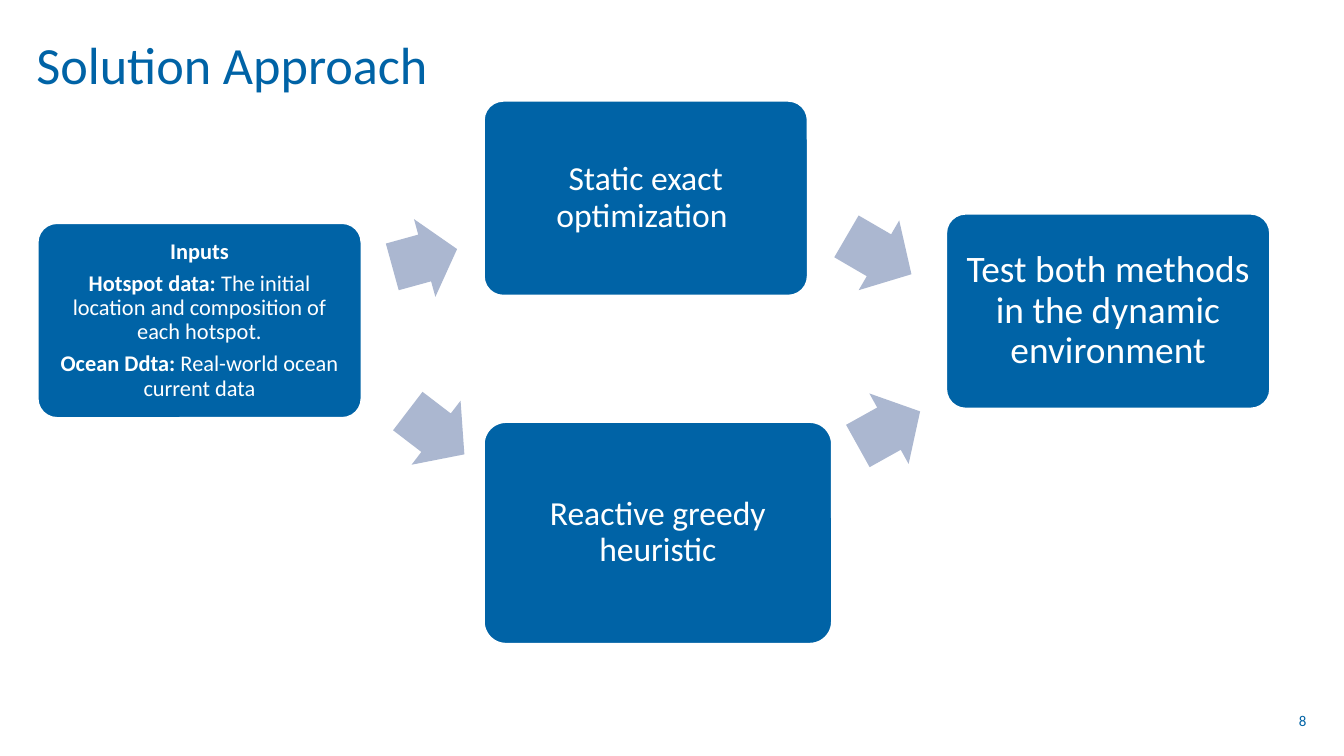
from pptx import Presentation
from pptx.dml.color import RGBColor
from pptx.enum.shapes import MSO_SHAPE
from pptx.enum.text import MSO_ANCHOR, PP_ALIGN
from pptx.util import Inches, Pt

BLUE = RGBColor(0x00, 0x63, 0xA6)
PALE_BLUE = RGBColor(0xAB, 0xB7, 0xD0)
WHITE = RGBColor(0xFF, 0xFF, 0xFF)
FONT = "Calibri"

ROUNDED = MSO_SHAPE.ROUNDED_RECTANGLE
ARROW = MSO_SHAPE.RIGHT_ARROW
TOP, MIDDLE = MSO_ANCHOR.TOP, MSO_ANCHOR.MIDDLE
LEFT, CENTER, RIGHT = PP_ALIGN.LEFT, PP_ALIGN.CENTER, PP_ALIGN.RIGHT

SLIDE_WIDTH = Inches(10)
SLIDE_HEIGHT = SLIDE_WIDTH * 9 // 16
BOX_SIZE = (2.41, 1.45)

# Box (left, top, width, height), text size, inset, paragraphs of (text, bold) runs
STEPS = [
    ((0.28, 1.66, *BOX_SIZE), 12, 0.05, [
        [("Inputs", True)],
        [("Hotspot data:", True),
         (" The initial location and composition of each hotspot.", False)],
        [("Ocean Ddta:", True), (" Real-world ocean current data", False)],
    ]),
    ((3.6, 0.75, *BOX_SIZE), 18, 0.07, [[("Static exact optimization ", False)]]),
    ((7.04, 1.59, *BOX_SIZE), 20, 0.08,
     [[("Test both methods in the dynamic environment", False)]]),
    ((3.6, 3.14, 2.59, 1.65), 18, 0.12, [[("Reactive greedy heuristic", False)]]),
]

# Box (left, top, width, height), rotation in degrees
ARROWS = [
    ((2.91, 1.62, 0.5, 0.6), 344.6),
    ((6.26, 1.6, 0.56, 0.6), 30.2),
    ((2.98, 2.92, 0.53, 0.6), 37.4),
    ((6.35, 2.89, 0.53, 0.6), 330.9),
]


def set_attributes(target, values):
    for name, value in values.items():
        setattr(target, name, value)


def write_text(shape, paragraphs, size, color, anchor, insets, paragraph_format):
    """Fill a shape with paragraphs of (text, bold) runs; insets run left, top, right, bottom."""
    left, top, right, bottom = map(Inches, insets)
    frame = shape.text_frame
    set_attributes(frame, {
        "word_wrap": True, "vertical_anchor": anchor,
        "margin_left": left, "margin_top": top,
        "margin_right": right, "margin_bottom": bottom,
    })
    for index, runs in enumerate(paragraphs):
        paragraph = frame.add_paragraph() if index else frame.paragraphs[0]
        set_attributes(paragraph, paragraph_format)
        for text, bold in runs:
            run = paragraph.add_run()
            run.text = text
            set_attributes(run.font, {"name": FONT, "size": Pt(size), "bold": bold})
            run.font.color.rgb = color


def add_filled_shape(slide, kind, box, fill, adjustments):
    shape = slide.shapes.add_shape(kind, *map(Inches, box))
    shape.shadow.inherit = False
    shape.fill.solid()
    shape.fill.fore_color.rgb = fill
    shape.line.fill.background()
    for index, value in enumerate(adjustments):
        shape.adjustments[index] = value
    return shape


def add_title(slide, box):
    title = slide.shapes.add_textbox(*map(Inches, box))
    write_text(title, [[("Solution Approach", False)]], 28, BLUE, TOP, (0, 0, 0, 0),
               {"alignment": LEFT, "line_spacing": Pt(31)})


def add_page_number(slide, box):
    number = slide.shapes.add_textbox(*map(Inches, box))
    write_text(number, [[("8", False)]], 8, BLUE, MIDDLE, (0.1, 0.05, 0, 0.05),
               {"alignment": RIGHT})


def add_step(slide, box, size, inset, paragraphs):
    step = add_filled_shape(slide, ROUNDED, box, BLUE, [0.1])
    step.line.color.rgb = WHITE
    step.line.width = Pt(1)
    write_text(step, paragraphs, size, WHITE, MIDDLE, [inset] * 4,
               {"alignment": CENTER, "line_spacing": 0.9, "space_after": Pt(0.35 * size)})


def add_arrow(slide, box, rotation):
    arrow = add_filled_shape(slide, ARROW, box, PALE_BLUE, [0.6, 0.5])
    arrow.rotation = rotation


def main():
    presentation = Presentation()
    presentation.slide_width = SLIDE_WIDTH
    presentation.slide_height = SLIDE_HEIGHT
    slide = presentation.slides.add_slide(presentation.slide_layouts[6])

    add_title(slide, (0.27, 0.28, 9.45, 0.94))
    add_page_number(slide, (9.33, 5.21, 0.39, 0.3))
    for step in STEPS:
        add_step(slide, *step)
    for arrow in ARROWS:
        add_arrow(slide, *arrow)

    presentation.save("out.pptx")


if __name__ == "__main__":
    main()
